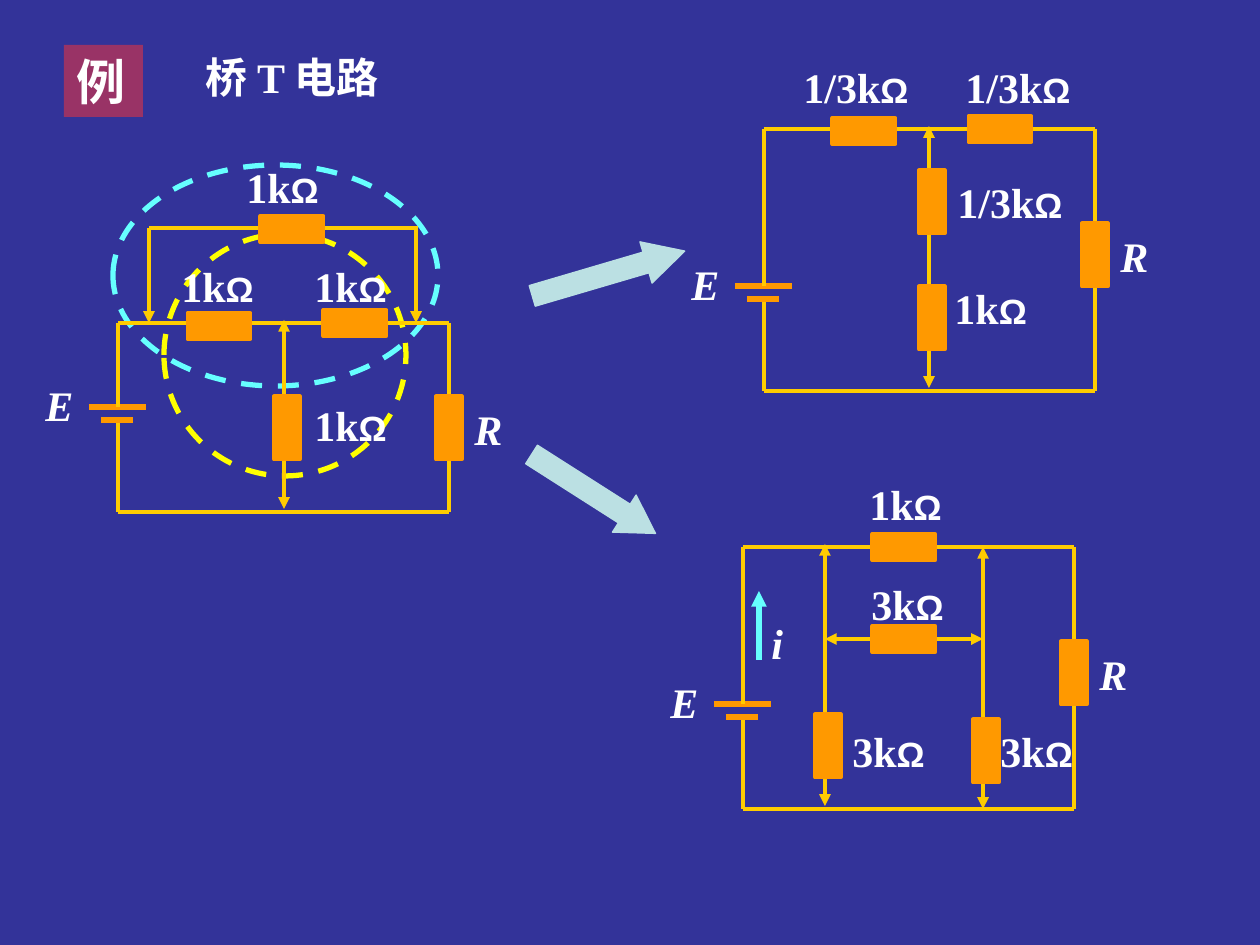
from pptx import Presentation
from pptx.dml.color import RGBColor
from pptx.enum.dml import MSO_LINE
from pptx.enum.shapes import MSO_CONNECTOR, MSO_SHAPE
from pptx.enum.text import MSO_ANCHOR, MSO_AUTO_SIZE, PP_ALIGN
from pptx.oxml.ns import qn
from pptx.util import Emu, Pt
from lxml import etree

RECT, OVAL, ARROW = MSO_SHAPE.RECTANGLE, MSO_SHAPE.OVAL, MSO_SHAPE.RIGHT_ARROW
LINE, DASH = MSO_CONNECTOR.STRAIGHT, MSO_LINE.DASH
TOP, LEFT, FIXED = MSO_ANCHOR.TOP, PP_ALIGN.LEFT, MSO_AUTO_SIZE.NONE
WIRE, PART, CYAN, YELLOW = "FFCC00", "FF9900", "66FFFF", "FFFF00"
PALE, PLUM, WHITE, NAVY = "BBE0E3", "993366", "FFFFFF", "333399"
SCALE = 914400 / 126


def px(*nums):
    return [Emu(round(n * SCALE)) for n in nums]


def paint(hue):
    return RGBColor.from_string(hue)


def write(frame, text, size=24, slant=False):
    frame.word_wrap = True
    frame.auto_size = FIXED
    frame.vertical_anchor = TOP
    para = frame.paragraphs[0]
    para.alignment = LEFT
    value, ohm, _ = text.partition("Ω")
    for part, face, height in ((value, "Times New Roman", size), (ohm, "Arial", 20)):
        if part:
            run = para.add_run()
            run.text = part
            font = run.font
            font.name, font.size = face, Pt(height)
            font.bold, font.italic = True, slant
            font.color.rgb = paint(WHITE)


class Board:
    """Draws circuit parts on one slide in a shared style."""

    def __init__(self, deck):
        self.slide = deck.slides.add_slide(deck.slide_layouts[5])
        self.shapes = self.slide.shapes
        fill = self.slide.background.fill
        fill.solid()
        fill.fore_color.rgb = paint(NAVY)

    def title(self, text, x, y, w, h):
        box = self.shapes.title
        box.left, box.top, box.width, box.height = px(x, y, w, h)
        write(box.text_frame, text)

    def label(self, text, x, y, w, slant=False):
        box = self.shapes.add_textbox(*px(x, y, w, 63))
        write(box.text_frame, text, slant=slant)

    def shape(self, kind, x, y, w, h, fill=None, line=None, width=2.25, turn=0):
        item = self.shapes.add_shape(kind, *px(x, y, w, h))
        item.shadow.inherit = False
        item.rotation = turn
        if fill:
            item.fill.solid()
            item.fill.fore_color.rgb = paint(fill)
        else:
            item.fill.background()
        if line:
            item.line.color.rgb = paint(line)
            item.line.width = Pt(width)
        else:
            item.line.fill.background()
        return item

    def wire(self, x1, y1, x2, y2, hue=WIRE, width=2.25, ends=()):
        item = self.shapes.add_connector(LINE, *px(x1, y1, x2, y2))
        item.line.color.rgb = paint(hue)
        item.line.width = Pt(width)
        edge = item.line._get_or_add_ln()
        for end in ends:
            etree.SubElement(edge, qn(f"a:{end}End"), type="triangle")
        etree.SubElement(item._element.spPr, qn("a:effectLst"))

    def load(self, x, y, flat=False):
        self.shape(RECT, x - 13, y - 31.5, 26, 63, PART, PART, turn=270 if flat else 0)

    def ring(self, x, y, w, h, hue):
        self.shape(OVAL, x, y, w, h, line=hue, width=3).line.dash_style = DASH

    def arrow(self, x, y, w, h, turn, tip):
        item = self.shape(ARROW, x, y, w, h, PALE, PALE, 0.75, turn)
        item.adjustments[1] = tip

    def badge(self, text, x, y, w, h):
        write(self.shape(RECT, x, y, w, h, PLUM).text_frame, text, size=28)

    def loop(self, x, top, cell, base, mid):
        right = x + 331
        self.wire(x - 29, cell, x + 28, cell, PART, 3)
        self.wire(x - 17, cell + 13, x + 15, cell + 13, PART, 3)
        self.wire(x, cell + 16, x, base)
        self.wire(x, cell, x, top)
        self.wire(x, top, right, top)
        self.wire(x, base, right, base)
        self.wire(right, top, right, base)
        self.load(right, mid)
        self.label("R", right + 13, mid - 31, 44, True)
        self.label("E", x - 85, cell - 34, 54, True)

    def fit(self, wires, loads, labels):
        for ends, *spots in wires:
            self.wire(*spots, ends=ends)
        for spot in loads:
            self.load(*spot)
        for note in labels:
            self.label(*note)


def main():
    deck = Presentation()
    deck.slide_width, deck.slide_height = px(1260, 945)
    board = Board(deck)
    both = ("head", "tail")
    board.title("桥 T 电路", 193, 45, 239, 63)

    board.loop(764, 129, 286, 391, 255)
    board.fit(
        [(both, 929, 126, 929, 388)],
        [(932, 318), (932, 202), (1000, 129, True), (864, 131, True)],
        [("1/3kΩ", 791, 55, 140), ("1/3kΩ", 953, 55, 142),
         ("1/3kΩ", 945, 170, 134), ("1kΩ", 942, 276, 110)])

    board.arrow(529, 252, 159, 43, 343.6, 0.94)
    board.ring(113, 165, 325, 221, CYAN)
    board.ring(164, 234, 242, 242, YELLOW)
    board.badge("例", 64, 45, 79, 72)
    board.arrow(520, 472, 147, 44, 32.5, 0.84)

    board.loop(118, 323, 407, 512, 428)
    board.fit(
        [(both, 284, 320, 284, 509), (("head",), 149, 323, 149, 228),
         ((), 149, 228, 418, 228), (("head",), 416, 323, 416, 228)],
        [(287, 428), (355, 323, True), (219, 326, True), (292, 229, True)],
        [("1kΩ", 234, 155, 126), ("1kΩ", 169, 254, 126),
         ("1kΩ", 302, 254, 126), ("1kΩ", 302, 393, 126)])

    board.loop(743, 547, 704, 809, 673)
    board.fit(
        [(both, 825, 544, 825, 806), (both, 983, 547, 983, 809),
         (both, 825, 639, 983, 639)],
        [(904, 547, True), (904, 639, True), (828, 746), (986, 751)],
        [("1kΩ", 857, 472, 105), ("3kΩ", 859, 572, 121),
         ("3kΩ", 840, 719, 121), ("3kΩ", 988, 719, 121)])
    board.wire(759, 660, 759, 591, CYAN, 3, ("tail",))
    board.label("i", 759, 611, 59, True)

    deck.save("out.pptx")


if __name__ == "__main__":
    main()
